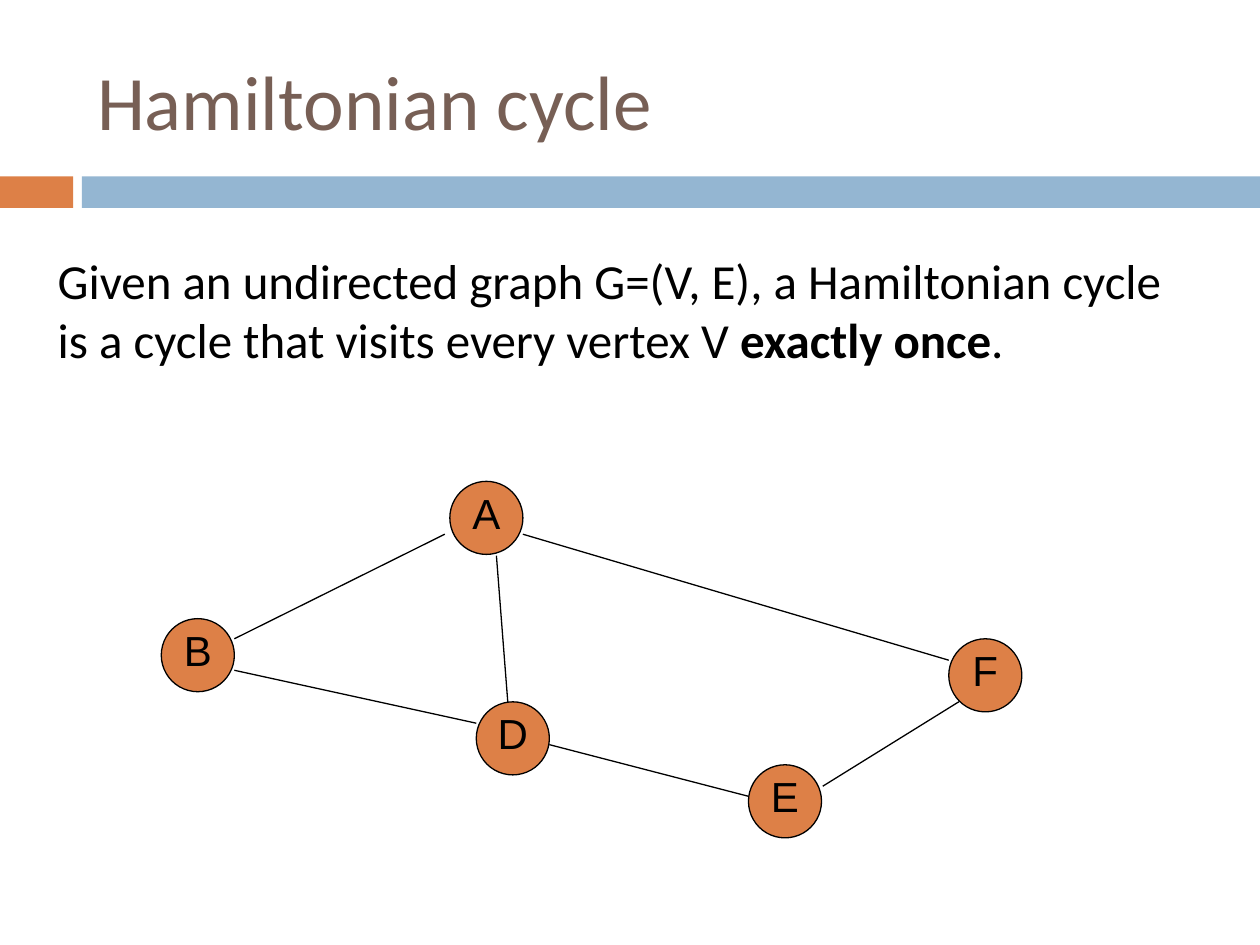
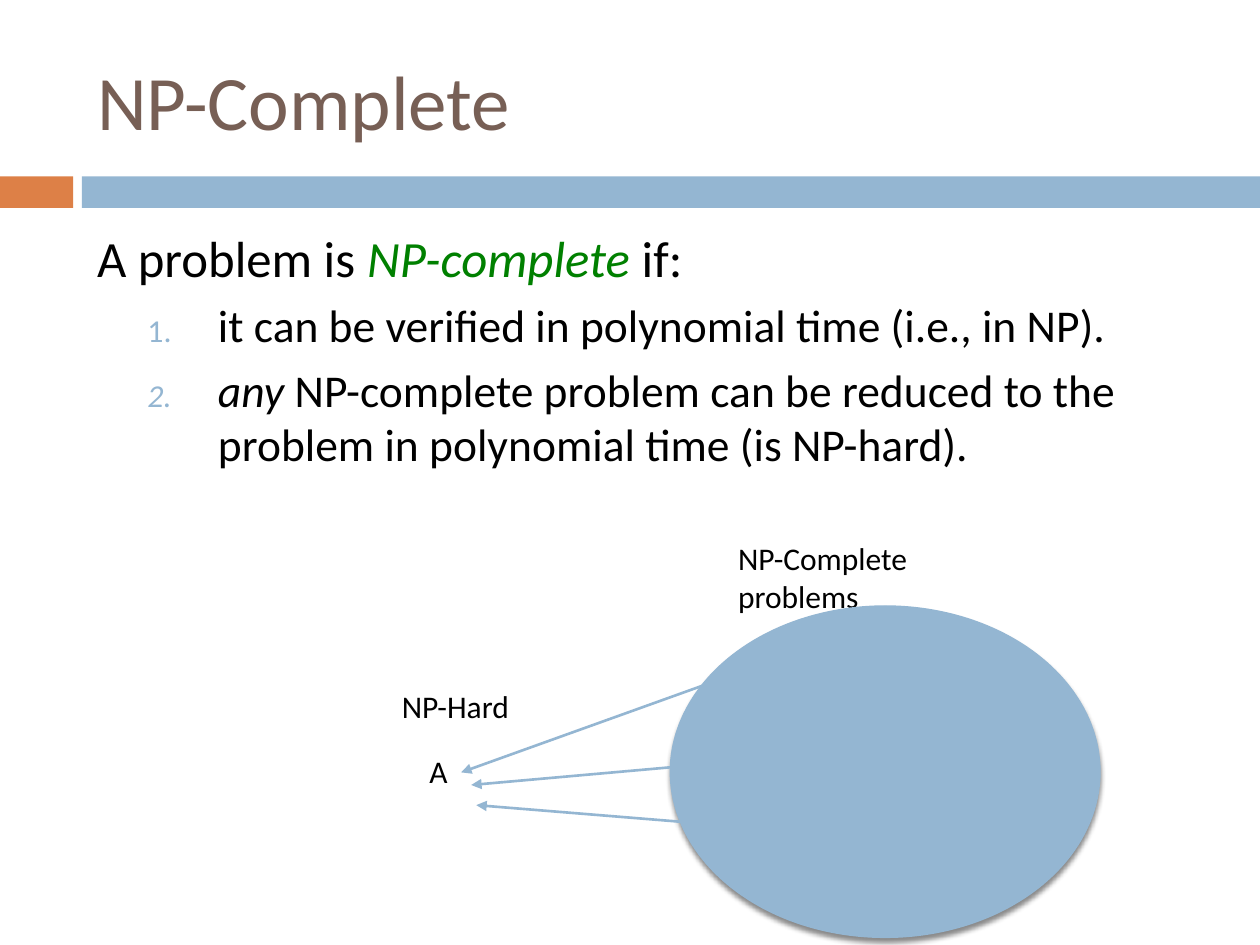
from lxml import etree
from pptx import Presentation
from pptx import util as u
from pptx.dml.color import RGBColor
from pptx.enum import shapes, text
from pptx.oxml.ns import qn

WIDTH, HEIGHT = u.Inches(10), u.Inches(7.5)
COLUMN, ROW = WIDTH / 100, HEIGHT / 75

ORANGE, BLUE, BROWN = "DD8047", "94B6D2", "775F55"
BLACK, GREEN = "000000", "008000"
BODY_FONT, NODE_FONT = "Calibri", "Arial"

TITLE_BOX = (6.7, 2.5, 89.2, 10.8)
BANDS = [((0, 14, 5.8, 2.5), ORANGE), ((6.5, 14, 93.5, 2.5), BLUE)]

NODE_SIZE = 5.8
NODES = {"A": (35.7, 38.2), "B": (12.8, 49.1), "E": (59.4, 60.7),
         "D": (37.8, 55.7), "F": (75.3, 50.7)}
EDGES = [
    ((18.6, 50.7), (35.3, 42.4)),  # B-A
    ((18.6, 53.2), (37.8, 57.4)),  # B-D
    ((40.3, 55.7), (39.4, 44.1)),  # D-A
    ((43.6, 59.1), (59.4, 63.2)),  # D-E
    ((65.3, 62.4), (76.1, 55.7)),  # E-F
    ((41.5, 42.4), (75.3, 52.4)),  # A-F
]
REDUCTIONS = [
    ((61.1, 52.5), (36.6, 61.3)),
    ((61.1, 60.2), (37.4, 62.3)),
    ((59.9, 65.7), (37.8, 63.9)),
]


def color(hex_string):
    return RGBColor.from_string(hex_string)


def on_grid(*lengths):
    """Turn alternating columns and rows into slide lengths."""
    return [u.Emu(round(length * (ROW if index % 2 else COLUMN)))
            for index, length in enumerate(lengths)]


def place(shape, box):
    shape.left, shape.top, shape.width, shape.height = on_grid(*box)


def add_child(parent, tag, **attributes):
    child = etree.SubElement(parent, qn(tag))
    for name, value in attributes.items():
        child.set(name, str(value))
    return child


def add_run(paragraph, words, size, font=BODY_FONT, fill=BLACK, bold=False, italic=False):
    run = paragraph.add_run()
    run.text = words
    run.font.name, run.font.size = font, u.Pt(size)
    run.font.bold, run.font.italic = bold, italic
    run.font.color.rgb = color(fill)


def add_label(container, box, *runs, size=18, font=BODY_FONT, centered=False, wrap=True):
    """Add a text box; each run is (words, format)."""
    label = container.add_textbox(*on_grid(*box))
    frame = label.text_frame
    frame.word_wrap = wrap
    paragraph = frame.paragraphs[0]
    if centered:
        frame.margin_left = frame.margin_right = 0
        paragraph.alignment = text.PP_ALIGN.CENTER
    for words, style in runs:
        add_run(paragraph, words, size, font, **style)


def add_figure(container, kind, box, fill, line=None, line_width=0.75):
    figure = container.add_shape(kind, *on_grid(*box))
    figure.shadow.inherit = False
    figure.fill.solid()
    figure.fill.fore_color.rgb = color(fill)
    if line:
        figure.line.color.rgb = color(line)
        figure.line.width = u.Pt(line_width)
    else:
        figure.line.fill.background()
    return figure


def add_line(slide, start, end, stroke, width, arrow=False):
    line = slide.shapes.add_connector(
        shapes.MSO_CONNECTOR.STRAIGHT, *on_grid(*start, *end))
    line.line.color.rgb = color(stroke)
    line.line.width = u.Pt(width)
    properties = line.element.spPr
    if arrow:
        add_child(properties.find(qn("a:ln")), "a:tailEnd", type="triangle")
    add_child(properties, "a:effectLst")


def cast_shadow(shape):
    effects = shape.element.spPr.find(qn("a:effectLst"))
    shadow = add_child(effects, "a:outerShdw", blurRad=u.Pt(3), dist=u.Pt(2.4),
                       dir=90 * 60000, algn="ctr", rotWithShape=0)
    shade = add_child(shadow, "a:srgbClr", val=BLACK)
    add_child(shade, "a:alpha", val=45000)


def add_node(slide, name, left, top):
    group = slide.shapes.add_group_shape()
    add_figure(group.shapes, shapes.MSO_SHAPE.OVAL,
               (left, top, NODE_SIZE, NODE_SIZE), ORANGE, BLACK)
    add_label(group.shapes, (left, top, NODE_SIZE, 5), (name, {}),
              size=24, font=NODE_FONT, centered=True)


def add_bands_to_master(presentation, slide):
    """Draw the bands on a slide, then move them behind the master's content."""
    tree = presentation.slide_master.shapes.element
    for index, (box, fill) in enumerate(BANDS):
        band = add_figure(slide.shapes, shapes.MSO_SHAPE.RECTANGLE, box, fill)
        band.element.nvSpPr.cNvPr.set("id", str(100 + index))
        tree.insert(2 + index, band.element)


def add_titled_slide(presentation, layout, title):
    slide = presentation.slides.add_slide(presentation.slide_layouts.get_by_name(layout))
    place(slide.shapes.title, TITLE_BOX)
    frame = slide.shapes.title.text_frame
    frame.vertical_anchor = text.MSO_ANCHOR.MIDDLE
    frame.paragraphs[0].alignment = text.PP_ALIGN.LEFT
    add_run(frame.paragraphs[0], title, 44, fill=BROWN)
    return slide


def fill_body(body, lead, items):
    """Write a lead line followed by numbered items."""
    frame = body.text_frame
    frame.auto_size = text.MSO_AUTO_SIZE.NONE
    for index, runs in enumerate([lead, *items]):
        numbered = index > 0
        paragraph = frame.add_paragraph() if numbered else frame.paragraphs[0]
        paragraph.level = int(numbered)
        paragraph.space_before = u.Pt(5.5 if numbered else 7)
        properties = paragraph._p.get_or_add_pPr()
        properties.set("marL", str(u.Inches(0.96 if numbered else 0)))
        properties.set("indent", str(u.Inches(-0.56 if numbered else 0)))
        if numbered:
            add_child(add_child(properties, "a:buClr"), "a:srgbClr", val=BLUE)
            add_child(properties, "a:buSzPct", val=70000)
            add_child(properties, "a:buFont", typeface=BODY_FONT)
            add_child(properties, "a:buAutoNum", type="arabicPeriod")
        else:
            add_child(properties, "a:buNone")
        for words, style in runs:
            add_run(paragraph, words, 26 if numbered else 29, **style)


def build_hamiltonian_cycle(presentation):
    slide = add_titled_slide(presentation, "Title Only", "Hamiltonian cycle")
    add_label(slide.shapes, (3.6, 19.4, 90.7, 10.4),
              ("Given an undirected graph G=(V, E), a Hamiltonian cycle is a cycle "
               "that visits every vertex V ", {}),
              ("exactly once", {"bold": True}), (".", {}), size=28)
    for name, (left, top) in NODES.items():
        add_node(slide, name, left, top)
    for start, end in EDGES:
        add_line(slide, start, end, BLACK, 0.75)
    return slide


def build_np_complete(presentation):
    slide = add_titled_slide(presentation, "Title and Content", "NP-Complete")
    body = slide.placeholders[1]
    place(body, (6.7, 17.5, 89.2, 21.2))
    fill_body(
        body,
        [("A problem is ", {}), ("NP-complete ", {"fill": GREEN, "italic": True}),
         ("if:", {})],
        [[("it can be verified in polynomial time (i.e., in NP).", {})],
         [("any", {"italic": True}),
          (" NP-complete problem can be reduced to the problem in polynomial time "
           "(is NP-hard).", {})]])
    add_label(slide.shapes, (33.1, 59.2, 3.5, 4), ("A", {}))
    add_label(slide.shapes, (57.6, 42.3, 25, 4), ("NP-Complete problems", {}))
    problems = add_figure(slide.shapes, shapes.MSO_SHAPE.OVAL,
                          (53.2, 48.1, 34.1, 26.3), BLUE, BLUE, 0.79)
    cast_shadow(problems)
    for start, end in REDUCTIONS:
        add_line(slide, start, end, BLUE, 1.5, arrow=True)
    add_label(slide.shapes, (30.9, 54, 10.9, 4), ("NP-Hard", {}), wrap=False)


def main():
    presentation = Presentation()
    presentation.slide_width, presentation.slide_height = WIDTH, HEIGHT
    first_slide = build_hamiltonian_cycle(presentation)
    add_bands_to_master(presentation, first_slide)
    build_np_complete(presentation)
    presentation.save("out.pptx")


if __name__ == "__main__":
    main()
